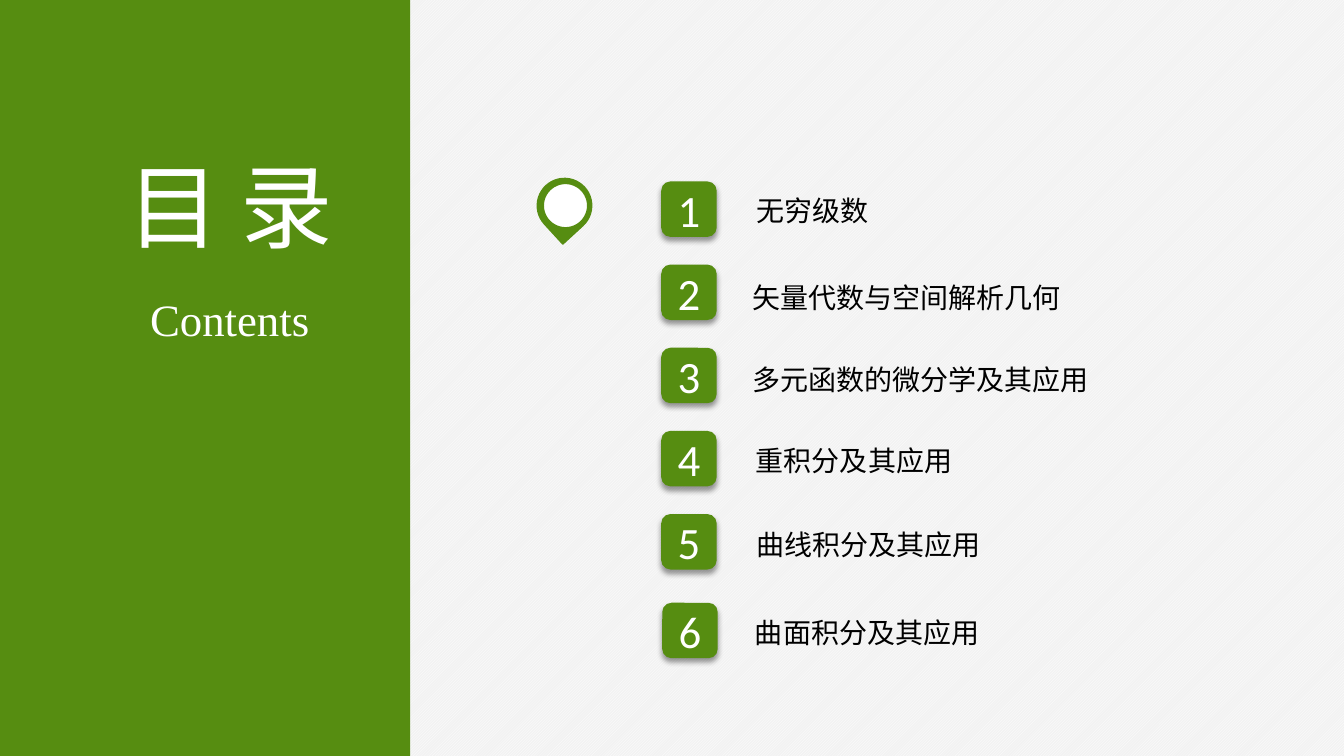
from dataclasses import dataclass

from lxml.etree import SubElement
from pptx import Presentation
from pptx.dml.color import RGBColor
from pptx.enum.dml import MSO_PATTERN
from pptx.enum.shapes import MSO_SHAPE
from pptx.enum.text import MSO_ANCHOR, MSO_AUTO_SIZE, PP_ALIGN
from pptx.oxml.ns import qn
from pptx.util import Emu, Inches, Pt

GREEN = RGBColor(0x56, 0x8D, 0x11)
WHITE = RGBColor(0xFF, 0xFF, 0xFF)
BLACK = RGBColor(0x00, 0x00, 0x00)
PALE_GRAY = RGBColor(0xF2, 0xF2, 0xF2)

CHINESE = "Noto Sans CJK SC"
DIGITS = "Calibri"
SERIF = "Times New Roman"

COLUMNS, ROWS = 160, 90
CELL = Inches(13.3333) / COLUMNS

BADGE_SIZE = 6.6
LABEL_HEIGHT = 5.28
CHARACTER_WIDTH, LABEL_MARGINS = 3.37, 2.4


@dataclass(frozen=True)
class Area:
    column: float
    row: float
    width: float
    height: float

    def emu(self) -> list[Emu]:
        return [Emu(round(cells * CELL))
                for cells in (self.column, self.row, self.width, self.height)]


@dataclass(frozen=True)
class TextStyle:
    font: str
    size: int
    color: RGBColor


@dataclass(frozen=True)
class Chapter:
    title: str
    title_column: float
    title_row: float
    badge_column: float
    badge_row: float


NUMBER = TextStyle(DIGITS, 32, WHITE)
CHAPTER_TITLE = TextStyle(CHINESE, 20, BLACK)
HEADING = TextStyle(CHINESE, 66, WHITE)
SUBHEADING = TextStyle(SERIF, 32, WHITE)

CHAPTERS = [
    Chapter("无穷级数", 88.8, 22.44, 78.72, 21.6),
    Chapter("矢量代数与空间解析几何", 88.2, 32.76, 78.72, 31.5),
    Chapter("多元函数的微分学及其应用", 88.2, 42.6, 78.72, 41.4),
    Chapter("重积分及其应用", 88.68, 52.2, 78.72, 51.3),
    Chapter("曲线积分及其应用", 88.68, 62.16, 78.72, 61.2),
    Chapter("曲面积分及其应用", 88.56, 72.72, 78.84, 71.76),
]


def write(frame, text: str, style: TextStyle) -> None:
    paragraph = frame.paragraphs[0]
    paragraph.alignment = PP_ALIGN.CENTER
    run = paragraph.add_run()
    run.text = text
    run.font.size = Pt(style.size)
    run.font.color.rgb = style.color
    run.font.name = style.font
    SubElement(run.font._element, qn("a:ea"), typeface=style.font)


def add_label(shapes, area: Area, text: str, style: TextStyle) -> None:
    frame = shapes.add_textbox(*area.emu()).text_frame
    frame.word_wrap = False
    frame.auto_size = MSO_AUTO_SIZE.SHAPE_TO_FIT_TEXT
    write(frame, text, style)


def add_solid(shapes, kind: MSO_SHAPE, area: Area, fill: RGBColor,
              outlined: bool = False):
    solid = shapes.add_shape(kind, *area.emu())
    solid.shadow.inherit = False
    solid.fill.solid()
    solid.fill.fore_color.rgb = fill
    if outlined:
        solid.line.color.rgb = GREEN
        solid.line.width = Pt(1)
    else:
        solid.line.fill.background()
    return solid


def drop_shadow(solid) -> None:
    effects = solid._element.spPr.find(qn("a:effectLst"))
    shadow = SubElement(effects, qn("a:outerShdw"), blurRad=str(Pt(4)),
                        dist=str(Pt(3)), dir="5400000", rotWithShape="0")
    color = SubElement(shadow, qn("a:srgbClr"), val=str(BLACK))
    SubElement(color, qn("a:alpha"), val="40000")


def add_chapter(shapes, number: int, chapter: Chapter) -> None:
    badge = add_solid(
        shapes, MSO_SHAPE.ROUNDED_RECTANGLE,
        Area(chapter.badge_column, chapter.badge_row, BADGE_SIZE, BADGE_SIZE), GREEN)
    drop_shadow(badge)
    badge.text_frame.vertical_anchor = MSO_ANCHOR.MIDDLE
    write(badge.text_frame, str(number), NUMBER)
    width = CHARACTER_WIDTH * len(chapter.title) + LABEL_MARGINS
    add_label(shapes, Area(chapter.title_column, chapter.title_row, width, LABEL_HEIGHT),
              chapter.title, CHAPTER_TITLE)


def add_pin(shapes) -> None:
    pin = shapes.add_group_shape().shapes
    drop = add_solid(pin, MSO_SHAPE.TEAR, Area(63.96, 21.24, 6.48, 6.48), GREEN, True)
    drop.rotation = 137.5
    add_solid(pin, MSO_SHAPE.OVAL, Area(64.68, 21.84, 5.28, 5.28), WHITE, True)


def main() -> None:
    deck = Presentation()
    deck.slide_width = Emu(round(COLUMNS * CELL))
    deck.slide_height = Emu(round(ROWS * CELL))
    slide = deck.slides.add_slide(deck.slide_layouts[6])

    backdrop = slide.background.fill
    backdrop.patterned()
    backdrop.pattern = MSO_PATTERN.LIGHT_UPWARD_DIAGONAL
    backdrop.fore_color.rgb = WHITE
    backdrop.back_color.rgb = PALE_GRAY

    shapes = slide.shapes
    add_solid(shapes, MSO_SHAPE.RECTANGLE, Area(0, 0, 48.84, ROWS), GREEN)
    add_label(shapes, Area(12.24, 17.16, 30.24, 14.52), "目 录", HEADING)
    add_label(shapes, Area(16.56, 34.08, 21.6, 7.68), "Contents", SUBHEADING)
    add_pin(shapes)
    for number, chapter in enumerate(CHAPTERS, start=1):
        add_chapter(shapes, number, chapter)

    deck.save("out.pptx")


if __name__ == "__main__":
    main()
